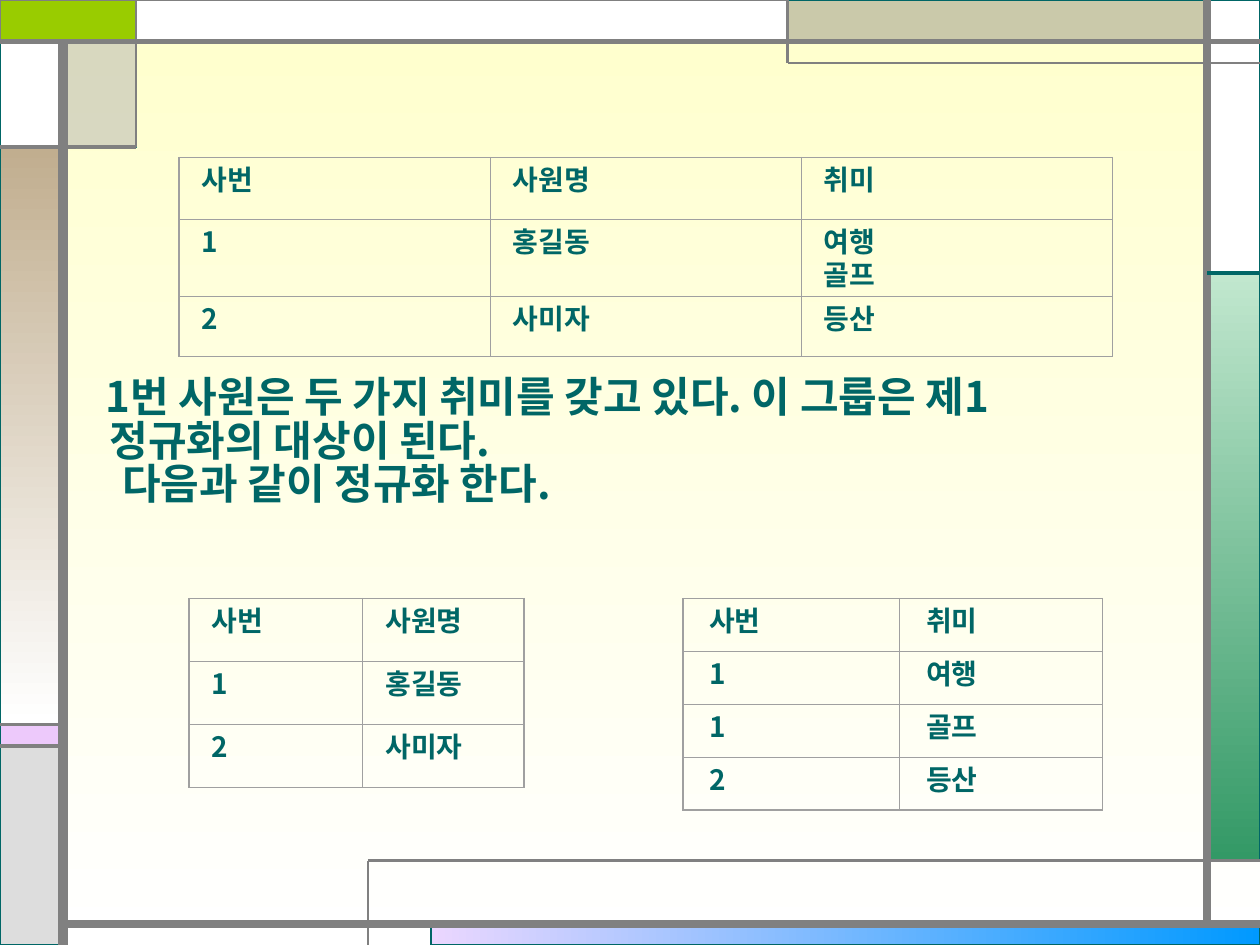
from lxml.etree import SubElement
from pptx import Presentation
from pptx.dml.color import RGBColor
from pptx.enum.shapes import MSO_CONNECTOR, MSO_SHAPE
from pptx.enum.text import MSO_ANCHOR, MSO_AUTO_SIZE, PP_ALIGN
from pptx.oxml.ns import qn
from pptx.util import Inches, Pt

FONT = "Noto Sans CJK KR"
TEAL, GRAY, BORDER = "006666", "808080", "A0A0A0"
WIDTH, HEIGHT = 10, 7.5

# Grid lines of the frame around the content
LEFT, RIGHT, TOP, BOTTOM = 0.5, 9.58, 0.33, 7.33
CORNER_X, CORNER_Y = 1.08, 1.17
TAB_X, TAB_Y = 6.25, 0.5
FOOT_X, FOOT_Y = 2.92, 6.83
GREEN_Y = 2.17
PINK_Y, SILVER_Y = 5.75, 5.92

DOWN, ACROSS = 270, 0


def color(hex_string):
    return RGBColor.from_string(hex_string)


def paint_gradient(fill, start, end, angle):
    fill.gradient()
    fill.gradient_angle = angle
    for stop, hex_string in zip(fill.gradient_stops, (start, end)):
        stop.color.rgb = color(hex_string)


def add_panel(slide, left, top, right, bottom, paint, outline=TEAL, weight=0.75):
    """Draw a block between grid lines; paint is a colour or (start, end, angle)."""
    panel = slide.shapes.add_shape(
        MSO_SHAPE.RECTANGLE, Inches(left), Inches(top),
        Inches(right - left), Inches(bottom - top))
    panel.shadow.inherit = False
    if isinstance(paint, tuple):
        paint_gradient(panel.fill, *paint)
    else:
        panel.fill.solid()
        panel.fill.fore_color.rgb = color(paint)
    panel.line.color.rgb = color(outline)
    panel.line.width = Pt(weight)
    return panel


def make_half_transparent(panel):
    solid = panel.fill.fore_color._xFill
    SubElement(solid[0], qn("a:alpha"), val="50000")


def add_rule(slide, x1, y1, x2, y2, weight, hex_string=GRAY):
    rule = slide.shapes.add_connector(
        MSO_CONNECTOR.STRAIGHT, Inches(x1), Inches(y1), Inches(x2), Inches(y2))
    rule.line.color.rgb = color(hex_string)
    rule.line.width = Pt(weight)
    SubElement(rule._element.spPr, qn("a:effectLst"))


def format_paragraph(paragraph, size, line_spacing):
    paragraph.alignment = PP_ALIGN.JUSTIFY
    paragraph.line_spacing = line_spacing
    font = paragraph.font
    font.name, font.size, font.bold = FONT, Pt(size), True
    font.color.rgb = color(TEAL)
    SubElement(font._element, qn("a:ea"), typeface=FONT)


def add_borders(cell, weights):
    """Set the borders in the order left, right, top, bottom."""
    properties = cell._tc.get_or_add_tcPr()
    for side, weight in zip("LRTB", weights):
        border = SubElement(properties, qn(f"a:ln{side}"), w=str(Pt(weight)))
        solid = SubElement(border, qn("a:solidFill"))
        SubElement(solid, qn("a:srgbClr"), val=BORDER)


def add_grid_table(slide, left, top, widths, heights, rows, indent=0.18):
    table = slide.shapes.add_table(
        len(rows), len(widths), Inches(left), Inches(top),
        Inches(sum(widths)), Inches(sum(heights))).table
    table.first_row = table.horz_banding = False
    for column, width in zip(table.columns, widths):
        column.width = Inches(width)
    for r, (height, texts) in enumerate(zip(heights, rows)):
        table.rows[r].height = Inches(height)
        for c, text in enumerate(texts):
            cell = table.cell(r, c)
            outer = (c == 0, c == len(widths) - 1, r == 0, r == len(rows) - 1)
            add_borders(cell, [1 if edge else 0.5 for edge in outer])
            cell.fill.background()
            cell.margin_left, cell.margin_right = Inches(indent), Inches(0.1)
            cell.margin_top, cell.margin_bottom = Inches(0.05), 0
            cell.text = text
            for paragraph in cell.text_frame.paragraphs:
                format_paragraph(paragraph, 16, 0.83)


def add_frame(slide):
    add_panel(slide, 3.42, BOTTOM, WIDTH, HEIGHT, ("EBD7FF", "0099FF", ACROSS))
    add_panel(slide, RIGHT, GREEN_Y, WIDTH, FOOT_Y, ("C1E7CE", "339966", DOWN))
    add_panel(slide, 0, PINK_Y, LEFT, SILVER_Y, "EDC9FB")
    add_panel(slide, 0, SILVER_Y, LEFT, HEIGHT, "DDDDDD")
    add_panel(slide, RIGHT, 0, WIDTH, GREEN_Y, "FFFFFF")
    add_panel(slide, TAB_X, 0, RIGHT, TOP, "CAC9AA")
    make_half_transparent(
        add_panel(slide, LEFT, TOP, CORNER_X, CORNER_Y, "B2B2B2"))
    add_panel(slide, 0, CORNER_Y, LEFT, PINK_Y, ("C1AE8F", "FFFFFF", DOWN))
    add_panel(slide, 0, TOP, LEFT, CORNER_Y, "FFFFFF")
    add_panel(slide, 0, 0, CORNER_X, TOP, "99CC00", GRAY, 1.5)
    add_panel(slide, CORNER_X, 0, TAB_X, TOP, "FFFFFF", GRAY)

    add_rule(slide, LEFT, HEIGHT, LEFT, TOP, 6)
    add_rule(slide, LEFT, BOTTOM, WIDTH, BOTTOM, 4.5)
    add_rule(slide, RIGHT, BOTTOM, RIGHT, 0, 4.5)
    add_rule(slide, 0, TOP, WIDTH, TOP, 3)
    add_rule(slide, WIDTH, TAB_Y, TAB_X, TAB_Y, 1.5)
    add_rule(slide, TAB_X, TAB_Y, TAB_X, 0, 1.5)
    add_rule(slide, RIGHT, GREEN_Y, WIDTH, GREEN_Y, 2.25, TEAL)
    add_rule(slide, CORNER_X, 0, CORNER_X, CORNER_Y, 1.5)
    add_rule(slide, FOOT_X, HEIGHT, FOOT_X, FOOT_Y, 1.5)
    add_rule(slide, FOOT_X, FOOT_Y, WIDTH, FOOT_Y, 1.5)
    for y in (CORNER_Y, PINK_Y, SILVER_Y):
        add_rule(slide, CORNER_X if y == CORNER_Y else LEFT, y, 0, y, 2.25)


def fill_explanation(body, lines):
    """Write (indent, text) lines into the body placeholder."""
    body.left, body.top = Inches(0.58), Inches(3)
    body.width, body.height = Inches(8.92), Inches(1.33)
    frame = body.text_frame
    frame.word_wrap = True
    frame.auto_size = MSO_AUTO_SIZE.NONE
    frame.vertical_anchor = MSO_ANCHOR.TOP
    frame.text = "\n".join(text for _, text in lines)
    for paragraph, (indent, _) in zip(frame.paragraphs, lines):
        format_paragraph(paragraph, 24, 0.7)
        paragraph.space_before = Pt(4.8)
        properties = paragraph._p.get_or_add_pPr()
        properties.set("marL", str(Inches(indent)))
        properties.set("indent", "0")
        bullet = SubElement(properties, qn("a:buNone"))
        properties.find(qn("a:defRPr")).addprevious(bullet)


def main():
    presentation = Presentation()
    presentation.slide_width = Inches(WIDTH)
    presentation.slide_height = Inches(HEIGHT)
    slide = presentation.slides.add_slide(presentation.slide_layouts[1])
    title = slide.shapes.title._element
    title.getparent().remove(title)

    paint_gradient(slide.background.fill, "FFFFCC", "FFFFFF", DOWN)
    add_frame(slide)
    fill_explanation(slide.placeholders[1], [
        (0.16, "1번 사원은 두 가지 취미를 갖고 있다. 이 그룹은 제1"),
        (0.19, "정규화의 대상이 된다."),
        (0.29, "다음과 같이 정규화 한다."),
    ])
    add_grid_table(slide, 1.42, 1.25, [2.47] * 3, [0.49, 0.61, 0.48], [
        ("사번", "사원명", "취미"),
        ("1", "홍길동", "여행\n골프"),
        ("2", "사미자", "등산"),
    ])
    add_grid_table(slide, 1.5, 4.75, [1.38, 1.28], [0.5] * 3, [
        ("사번", "사원명"),
        ("1", "홍길동"),
        ("2", "사미자"),
    ])
    add_grid_table(slide, 5.42, 4.75, [1.72, 1.61], [0.42] * 4, [
        ("사번", "취미"),
        ("1", "여행"),
        ("1", "골프"),
        ("2", "등산"),
    ], indent=0.21)
    presentation.save("out.pptx")


if __name__ == "__main__":
    main()
